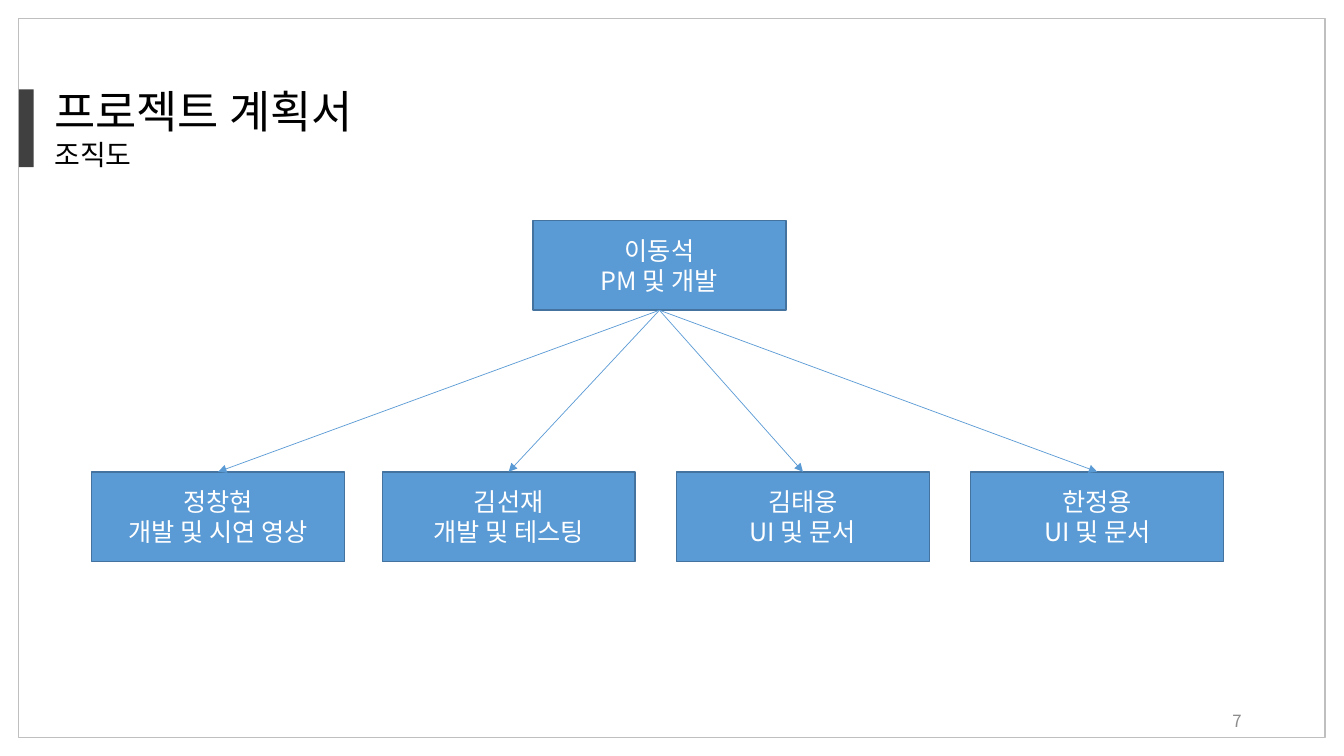
import pptx
import pptx.util
import pptx.dml.color
import pptx.enum.shapes
import pptx.enum.text
import pptx.oxml.ns
from lxml import etree

Pt = pptx.util.Pt
qn = pptx.oxml.ns.qn
Align = pptx.enum.text.PP_ALIGN
Anchor = pptx.enum.text.MSO_ANCHOR

theme = {
    "font": "Noto Sans CJK KR",
    "ink": "000000", "white": "FFFFFF", "page": "8C8C8C",
    "frame": "BFBFBF", "bar": "404040", "box": "5B9BD5", "edge": "43739E",
    "title": 32, "sub": 20, "body": 18, "small": 12,
}


def color(name):
    return pptx.dml.color.RGBColor.from_string(theme[name])


def write(shape, lines, ink, align, anchor):
    frame = shape.text_frame
    frame.word_wrap = True
    frame.vertical_anchor = anchor
    frame.text = "\n".join(text for text, size in lines)
    for para, (text, size) in zip(frame.paragraphs, lines):
        para.alignment = align
        para.font.size = Pt(theme[size])
        para.font.color.rgb = color(ink)
        para.font.name = theme["font"]
        props = para._p.pPr.find(qn("a:defRPr"))
        etree.SubElement(props, qn("a:ea"), typeface=theme["font"])


deck = pptx.Presentation()
deck.slide_width, deck.slide_height = Pt(960), Pt(540)
slide = deck.slides.add_slide(deck.slide_layouts[6])
shapes = slide.shapes

wide, high = 180.7, 64.1
low = 337
team = [
    (380.7, 157.5, "이동석", "PM 및 개발"),
    (65.5, low, "정창현", "개발 및 시연 영상"),
    (273, low, "김선재", "개발 및 테스팅"),
    (483.2, low, "김태웅", "UI 및 문서"),
    (693.4, low, "한정용", "UI 및 문서"),
]
rects = [
    (13.4, 13.4, 933.1, 513.4, None, "frame"),
    (13.4, 63.9, 10.7, 55.6, "bar", None),
] + [(left, top, wide, high, "box", "edge") for left, top, name, role in team]

drawn = []
for left, top, width, height, fill, line in rects:
    rect = shapes.add_shape(
        pptx.enum.shapes.MSO_SHAPE.RECTANGLE,
        Pt(left), Pt(top), Pt(width), Pt(height))
    rect.shadow.inherit = False
    if fill:
        rect.fill.solid()
        rect.fill.fore_color.rgb = color(fill)
    else:
        rect.fill.background()
    if line:
        rect.line.color.rgb = color(line)
        rect.line.width = Pt(1)
    else:
        rect.line.fill.background()
    drawn.append(rect)

lead, *staff = boxes = drawn[2:]
for box, (left, top, name, role) in zip(boxes, team):
    write(box, [(name, "body"), (role, "body")], "white",
          Align.CENTER, Anchor.MIDDLE)

for box in staff:
    link = shapes.add_connector(
        pptx.enum.shapes.MSO_CONNECTOR.STRAIGHT, 0, 0, 0, 0)
    link.begin_connect(lead, 2)
    link.end_connect(box, 0)
    link.line.color.rgb = color("box")
    link.line.width = Pt(0.5)
    etree.SubElement(link.line._get_or_add_ln(), qn("a:tailEnd"), type="triangle")
    etree.SubElement(link._element.spPr, qn("a:effectLst"))

title = shapes.add_textbox(Pt(31.7), Pt(56.2), Pt(382.3), Pt(70.6))
write(title, [("프로젝트 계획서", "title"), ("조직도", "sub")], "ink",
      Align.LEFT, Anchor.TOP)
title.text_frame.auto_size = pptx.enum.text.MSO_AUTO_SIZE.SHAPE_TO_FIT_TEXT

page = shapes.add_textbox(Pt(678), Pt(500.5), Pt(216), Pt(28.8))
write(page, [("7", "small")], "page", Align.RIGHT, Anchor.MIDDLE)

deck.save("out.pptx")
